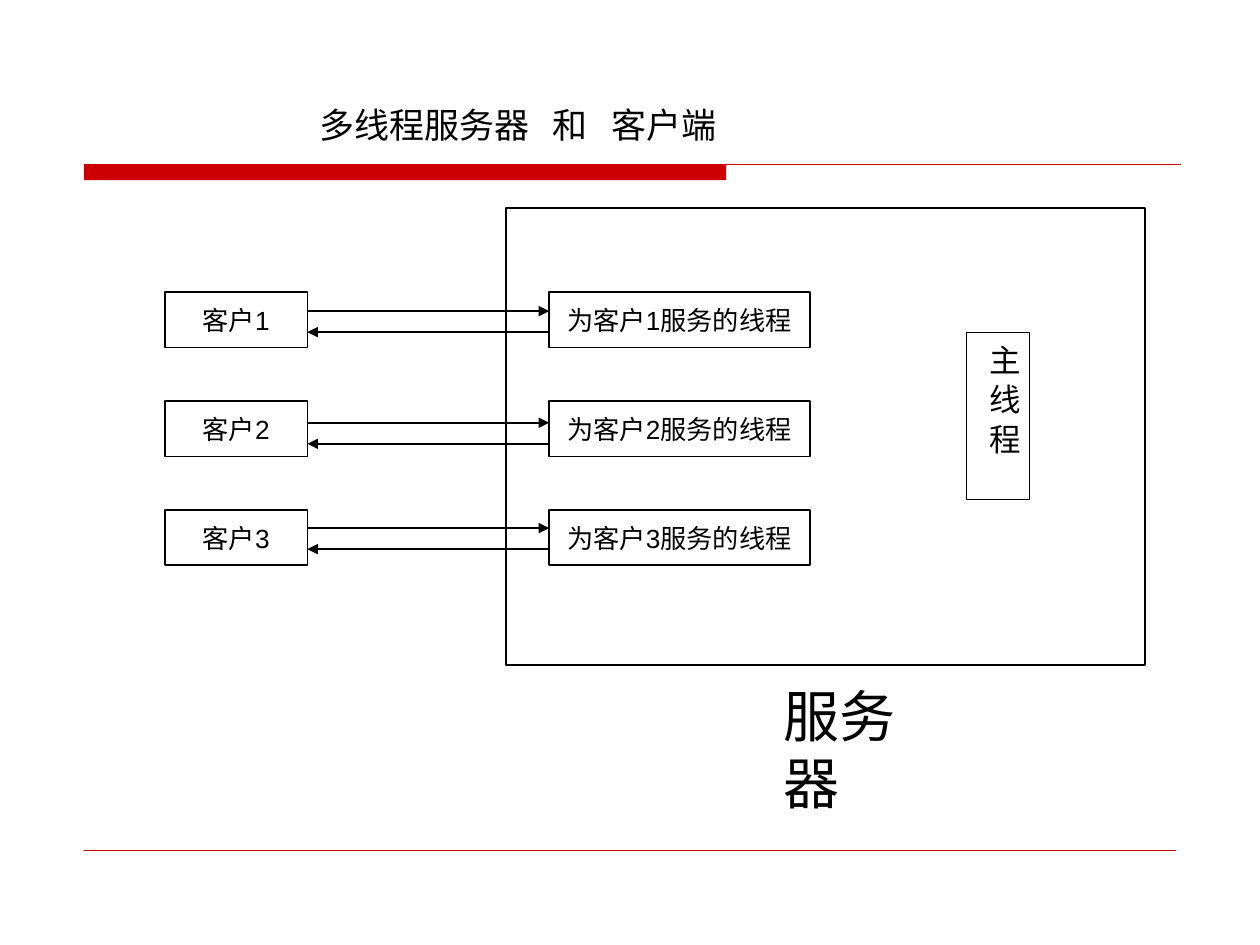
"""Draw a multithreaded server with its clients."""
from lxml import etree
from pptx import Presentation
from pptx import util as u
from pptx.dml.color import RGBColor
from pptx.enum import shapes, text
from pptx.oxml.ns import qn

BLACK, RED = "000000", "CC0000"


def paint(part, tone):
    """Give a fill or line one solid colour."""
    part.fore_color.rgb = RGBColor.from_string(tone)


def write(shape, words, size, align, stops=(), wrap=False):
    """Set one paragraph of text, with optional tab stops."""
    frame = shape.text_frame
    frame.word_wrap = wrap
    para = frame.paragraphs[0]
    para.text = words
    para.alignment = align
    if stops:
        tabs = etree.SubElement(para._p.get_or_add_pPr(), qn("a:tabLst"))
        for stop in stops:
            etree.SubElement(tabs, qn("a:tab"), pos=str(u.Pt(stop)), algn="l")
    para.font.size = u.Pt(size)
    para.font.name = "Arial"
    para.font.color.rgb = RGBColor.from_string(BLACK)


def label(slide, x, y, w, h, words, size, stops=()):
    """Add a text box with left-aligned text."""
    box = slide.shapes.add_textbox(u.Pt(x), u.Pt(y), u.Pt(w), u.Pt(h))
    write(box, words, size, text.PP_ALIGN.LEFT, stops, bool(stops))


def rect(slide, x, y, w, h, width=1.0, fill=None):
    """Add a rectangle, either outlined in black or filled."""
    box = slide.shapes.add_shape(
        shapes.MSO_SHAPE.RECTANGLE, u.Pt(x), u.Pt(y), u.Pt(w), u.Pt(h))
    box.shadow.inherit = False
    if fill:
        box.fill.solid()
        paint(box.fill, fill)
        box.line.fill.background()
    else:
        box.fill.background()
        box.line.fill.solid()
        paint(box.line.fill, BLACK)
        box.line.width = u.Pt(width)
    return box


def node(slide, x, y, w, h, words):
    """Add an outlined box with centred text."""
    box = rect(slide, x, y, w, h)
    write(box, words, 15, text.PP_ALIGN.CENTER)
    box.text_frame.vertical_anchor = text.MSO_ANCHOR.MIDDLE


def line(slide, start, end, y, tone, width, arrow=False):
    """Add a level line, with an arrowhead at its end if asked."""
    link = slide.shapes.add_connector(
        shapes.MSO_CONNECTOR.STRAIGHT, u.Pt(start), u.Pt(y), u.Pt(end), u.Pt(y))
    link.line.fill.solid()
    paint(link.line.fill, tone)
    link.line.width = u.Pt(width)
    if arrow:
        etree.SubElement(link.line._get_or_add_ln(), qn("a:tailEnd"), type="triangle")
    etree.SubElement(link._element.spPr, qn("a:effectLst"))


def column(slide, x, y, w, h, words):
    """Add an outlined box with upright East Asian text."""
    box = rect(slide, x, y, w, h, 0.75)
    write(box, words, 18, text.PP_ALIGN.LEFT, wrap=True)
    frame = box.text_frame
    frame.vertical_anchor = text.MSO_ANCHOR.TOP
    frame.margin_left = frame.margin_right = u.Pt(3.6)
    frame.margin_top = frame.margin_bottom = u.Pt(7.2)
    frame._txBody.bodyPr.set("vert", "eaVert")


def main():
    """Build and save the slide."""
    deck = Presentation()
    deck.slide_width, deck.slide_height = u.Pt(720), u.Pt(540)
    slide = deck.slides.add_slide(deck.slide_layouts[6])

    rect(slide, 48, 94, 367, 9, fill=RED)
    line(slide, 48, 675, 94, RED, 0.75)
    line(slide, 48, 672, 486, RED, 0.25)
    label(slide, 175.5, 55.5, 251, 31.5, "多线程服务器\t和\t客户端", 20, (133, 167))

    left, wide, right = 94.3, 81.4, 313.8
    for i, upper in enumerate((177.8, 241.6, 301.8)):
        y = 167 + 62.2 * i
        node(slide, left, y, wide, 31.7, f"客户{i + 1}")
        node(slide, right, y, 149, 31.7, f"为客户{i + 1}服务的线程")
        line(slide, left + wide, right, upper, BLACK, 1, True)
        line(slide, right, left + wide, upper + 12, BLACK, 1, True)

    rect(slide, 289.3, 118.7, 365, 261.3)
    column(slide, 552.3, 190, 36, 95.6, "主 线 程")
    label(slide, 440.6, 386, 110, 46, "服务器", 32)
    deck.save("out.pptx")


if __name__ == "__main__":
    main()
